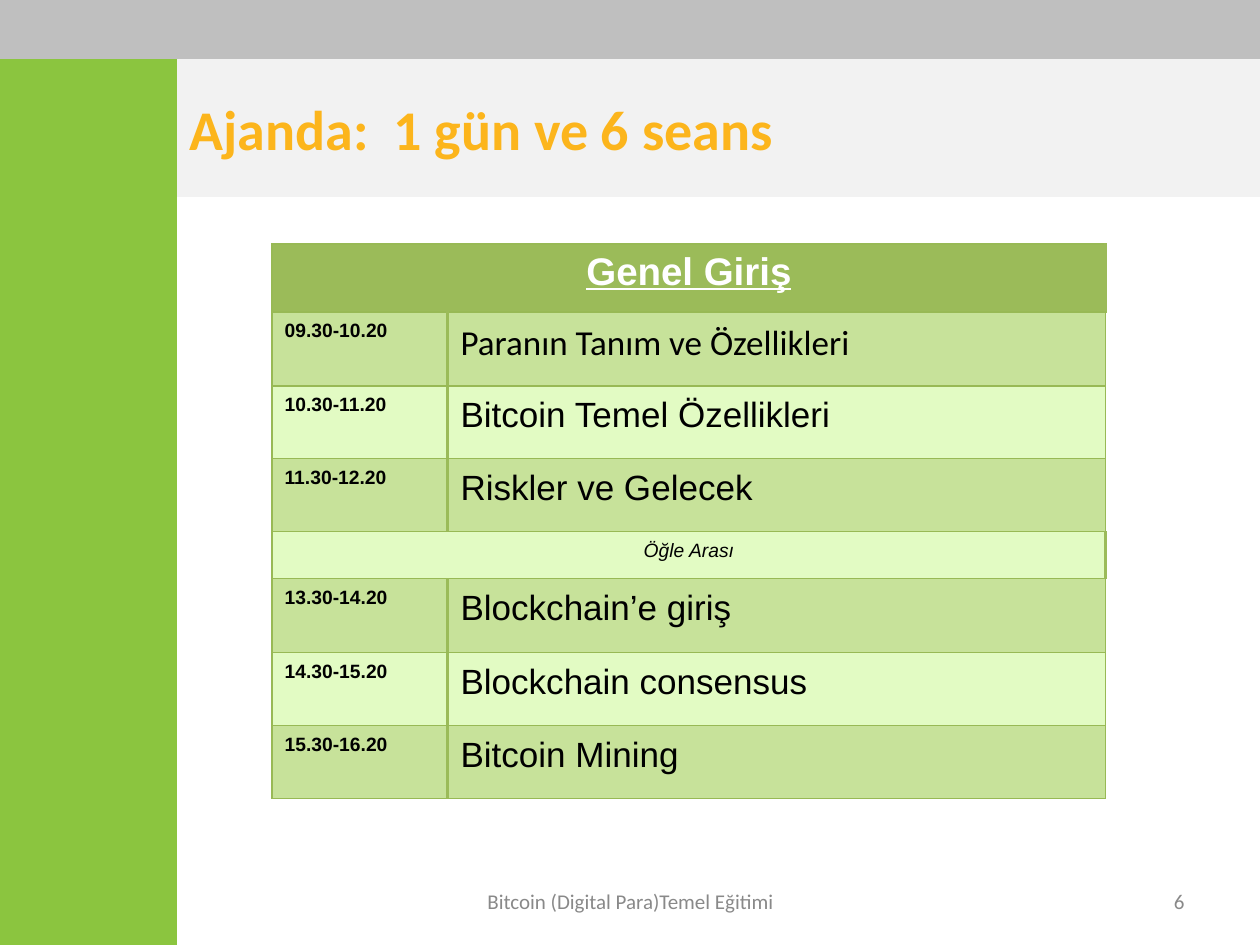
from lxml import etree
from pptx import Presentation, util as u
from pptx.dml.color import RGBColor
from pptx.enum import shapes, text
from pptx.oxml.ns import qn

PX = u.Inches(1) / 126
COLORS = {
    "gray": "BFBFBF", "green": "8BC53F", "pale": "F2F2F2", "orange": "FCB51C",
    "muted": "898989", "header": "9BBB59", "dark_row": "C7E29A",
    "light_row": "E2FBC3", "border": "98B955", "white": "FFFFFF", "black": "000000",
}


def write(frame, words, color, align="LEFT", spacing=1.0, **font_format):
    """Put one formatted paragraph into a text frame."""
    line = frame.paragraphs[0]
    line.alignment = getattr(text.PP_ALIGN, align)
    line.line_spacing = spacing
    run = line.add_run()
    run.text = words
    run.font.color.rgb = RGBColor.from_string(COLORS[color])
    for name, value in font_format.items():
        setattr(run.font, name, value)


def border(cell, side, color, points):
    line = etree.SubElement(cell._tc.get_or_add_tcPr(), qn(f"a:ln{side}"),
                            w=str(u.Pt(points)))
    fill = etree.SubElement(line, qn("a:solidFill"))
    etree.SubElement(fill, qn("a:srgbClr"), val=COLORS[color])


prs = Presentation()
prs.slide_width, prs.slide_height = round(1260 * PX), round(945 * PX)
slide = prs.slides.add_slide(prs.slide_layouts[5])

# Title band
title = slide.shapes.title
title.left, title.top, title.width, title.height = (
    round(v * PX) for v in (177, 59, 1083, 138))
title.fill.solid()
title.fill.fore_color.rgb = RGBColor.from_string(COLORS["pale"])
title.text_frame.auto_size = text.MSO_AUTO_SIZE.NONE
title.text_frame.vertical_anchor = text.MSO_ANCHOR.MIDDLE
write(title.text_frame, "Ajanda:  1 gün ve 6 seans", "orange",
      name="Calibri", size=u.Pt(32), bold=True)

# Side and top bars
for color, box in (("green", (0, 0, 177, 945)), ("gray", (0, 0, 1260, 59))):
    bar = slide.shapes.add_shape(shapes.MSO_SHAPE.RECTANGLE,
                                 *(round(v * PX) for v in box))
    bar.shadow.inherit = False
    bar.fill.solid()
    bar.fill.fore_color.rgb = RGBColor.from_string(COLORS[color])
    bar.line.fill.background()

# Footer and slide number
for words, align, box in (
    ("Bitcoin (Digital Para)Temel Eğitimi", "CENTER", (431, 876, 399, 50)),
    ("6", "RIGHT", (903, 876, 294, 50)),
):
    footer = slide.shapes.add_textbox(*(round(v * PX) for v in box)).text_frame
    footer.word_wrap = True
    footer.vertical_anchor = text.MSO_ANCHOR.MIDDLE
    write(footer, words, "muted", align, name="Calibri", size=u.Pt(12))

# Agenda: a row without a time spans both columns
agenda = [
    (None, "Genel Giriş", 68),
    ("09.30-10.20", "Paranın Tanım ve Özellikleri", 74),
    ("10.30-11.20", "Bitcoin Temel Özellikleri", 73),
    ("11.30-12.20", "Riskler ve Gelecek", 73),
    (None, "Öğle Arası", 47),
    ("13.30-14.20", "Blockchain’e giriş", 74),
    ("14.30-15.20", "Blockchain consensus", 73),
    ("15.30-16.20", "Bitcoin Mining", 73),
]
column_widths = (176, 658)
table = slide.shapes.add_table(
    len(agenda), 2, round(272 * PX), round(244 * PX),
    round(sum(column_widths) * PX), round(sum(row[2] for row in agenda) * PX)).table
for column, width in zip(table.columns, column_widths):
    column.width = round(width * PX)

for i, (time, topic, height) in enumerate(agenda):
    table.rows[i].height = round(height * PX)
    left, right = table.cell(i, 0), table.cell(i, 1)
    row_color = "header" if i == 0 else "dark_row" if i % 2 else "light_row"
    for cell in (left, right):
        border(cell, "L", "border", 0.75)
        if cell is left:
            border(cell, "R", "header", 2)
        else:
            border(cell, "R", "border", 0.75)
        border(cell, "T", "border", 0.75)
        border(cell, "B", "border", 0.75)
        cell.fill.solid()
        cell.fill.fore_color.rgb = RGBColor.from_string(COLORS[row_color])
    if time:
        write(left.text_frame, time, "black", spacing=1.1,
              name="Arial", size=u.Pt(11), bold=True)
        write(right.text_frame, topic, "black", spacing=1.1, bold=False,
              name="Calibri" if i == 1 else "Arial", size=u.Pt(20))
        continue
    left.merge(right)
    if i == 0:
        write(left.text_frame, topic, "white", "CENTER",
              name="Arial", size=u.Pt(22), bold=True, underline=True)
    else:
        write(left.text_frame, topic, "black", "CENTER", 1.1,
              name="Arial", size=u.Pt(11), bold=False, italic=True)

prs.save("out.pptx")
